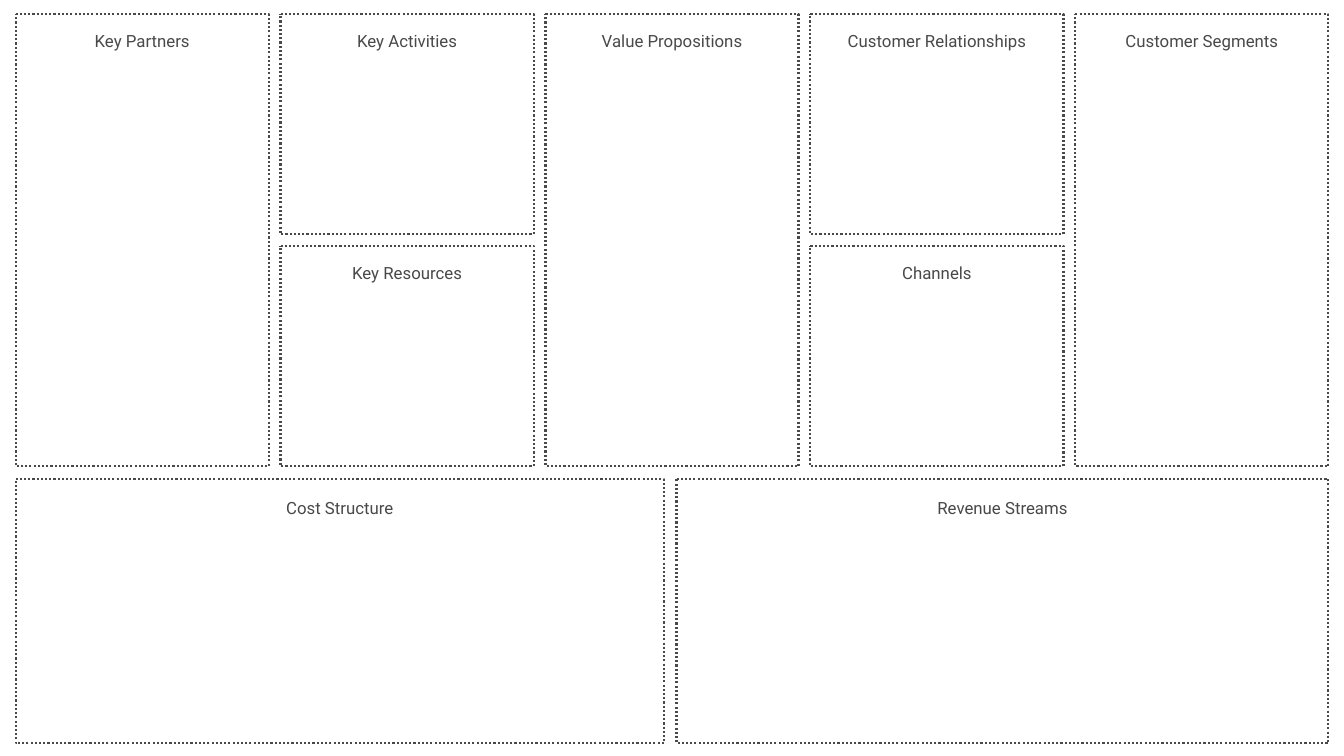
"""Build a business model canvas with nine labelled panels."""
from pptx import Presentation
from pptx.dml.color import RGBColor
from pptx.enum.dml import MSO_LINE
from pptx.enum.shapes import MSO_SHAPE
from pptx.enum.text import MSO_AUTO_SIZE, PP_ALIGN
from pptx.util import Inches, Pt

# label, column, row, rows spanned, label width
UPPER_PANELS = [
    ("Key Partners", 0, 0, 2, 2.72),
    ("Key Activities", 1, 0, 1, 2.99),
    ("Key Resources", 1, 1, 1, 3.24),
    ("Value Propositions", 2, 0, 2, 3.93),
    ("Customer Relationships", 3, 0, 1, 5),
    ("Channels", 3, 1, 1, 2.72),
    ("Customer Segments", 4, 0, 2, 4.73),
]
# label, panel width, label width
LOWER_PANELS = [
    ("Cost Structure", 12.86, 3.87),
    ("Revenue Streams", 12.93, 3.85),
]
SLIDE_WIDTH, SLIDE_HEIGHT = 26.66, 15
LEFT, RIGHT, TOP = 0.31, 26.35, 0.28
COLUMNS, COLUMN_WIDTH = 5, 5.02
COLUMN_STEP = (RIGHT - LEFT - COLUMN_WIDTH) / (COLUMNS - 1)
ROW_HEIGHT, ROW_GAP = 4.37, 0.23
LOWER_TOP, LOWER_HEIGHT, LOWER_GAP = 9.5, 5.25, 0.25
UPPER_INSET, LOWER_INSET, LABEL_HEIGHT = 0.28, 0.32, 0.5
INK, FONT = "494949", "Roboto"


def colour(value):
    return RGBColor.from_string(value)


def add_panel(page, left, top, width, height):
    panel = page.shapes.add_shape(
        MSO_SHAPE.ROUNDED_RECTANGLE,
        Inches(left), Inches(top), Inches(width), Inches(height))
    panel.adjustments[0] = 0
    panel.shadow.inherit = False
    panel.fill.background()
    panel.line.color.rgb = colour(INK)
    panel.line.width = Pt(3)
    panel.line.dash_style = MSO_LINE.ROUND_DOT


def add_label(page, text, centre, top, width):
    box = page.shapes.add_textbox(
        Inches(centre - width / 2), Inches(top),
        Inches(width), Inches(LABEL_HEIGHT))
    frame = box.text_frame
    frame.word_wrap = True
    frame.auto_size = MSO_AUTO_SIZE.SHAPE_TO_FIT_TEXT
    para = frame.paragraphs[0]
    para.alignment = PP_ALIGN.CENTER
    span = para.add_run()
    span.text = text
    span.font.name = FONT
    span.font.size = Pt(24)
    span.font.color.rgb = colour(INK)


def panel_layout():
    for text, column, row, rows, label_width in UPPER_PANELS:
        left = LEFT + column * COLUMN_STEP
        top = TOP + row * (ROW_HEIGHT + ROW_GAP)
        height = rows * (ROW_HEIGHT + ROW_GAP) - ROW_GAP
        yield text, (left, top, COLUMN_WIDTH, height), UPPER_INSET, label_width
    left = LEFT
    for text, width, label_width in LOWER_PANELS:
        yield text, (left, LOWER_TOP, width, LOWER_HEIGHT), LOWER_INSET, label_width
        left += width + LOWER_GAP


def main():
    deck = Presentation()
    deck.slide_width, deck.slide_height = Inches(SLIDE_WIDTH), Inches(SLIDE_HEIGHT)
    page = deck.slides.add_slide(deck.slide_layouts[6])
    page.background.fill.solid()
    page.background.fill.fore_color.rgb = colour("FFFFFF")
    for text, (left, top, width, height), inset, label_width in panel_layout():
        add_panel(page, left, top, width, height)
        add_label(page, text, left + width / 2, top + inset, label_width)
    deck.save("out.pptx")


if __name__ == "__main__":
    main()
